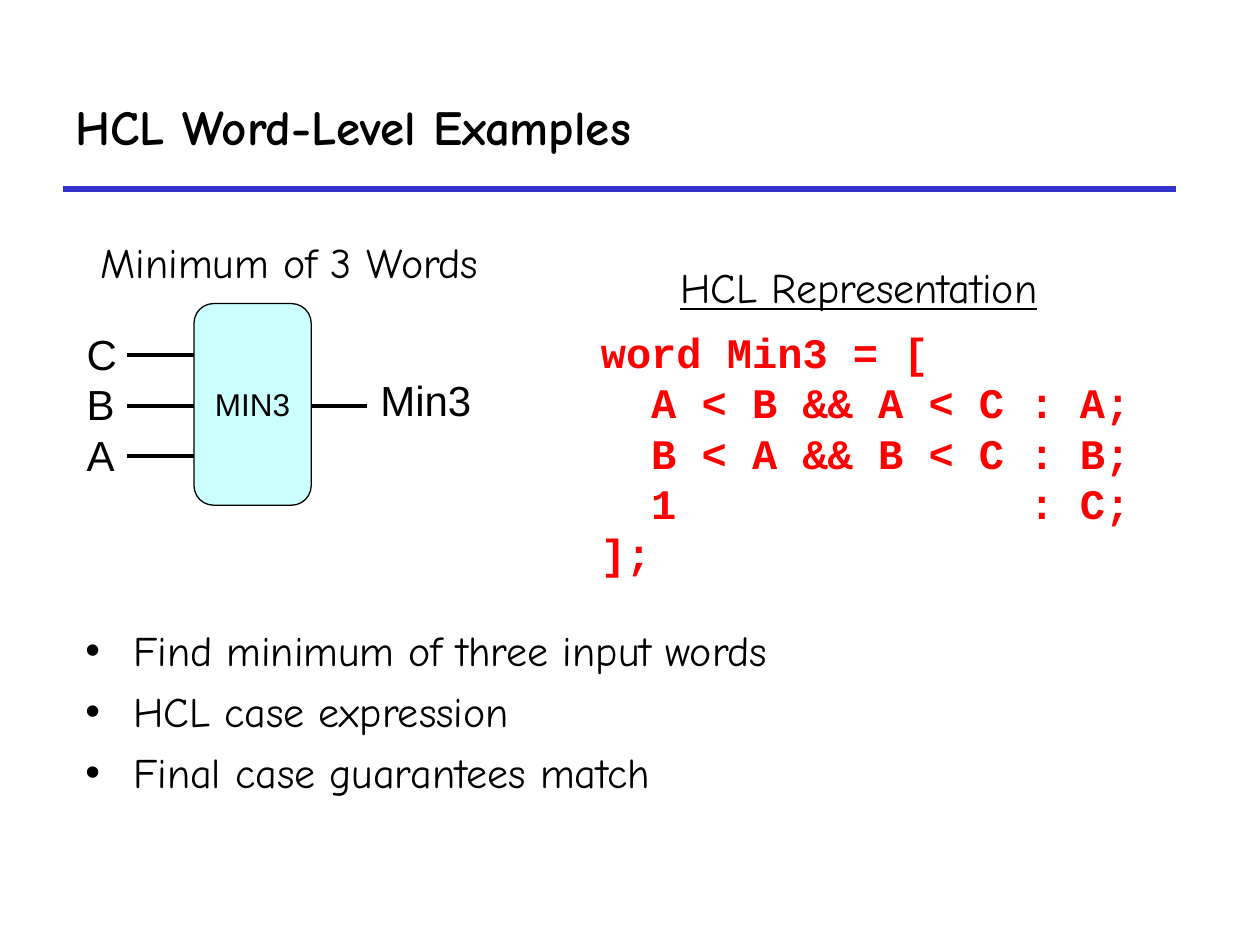
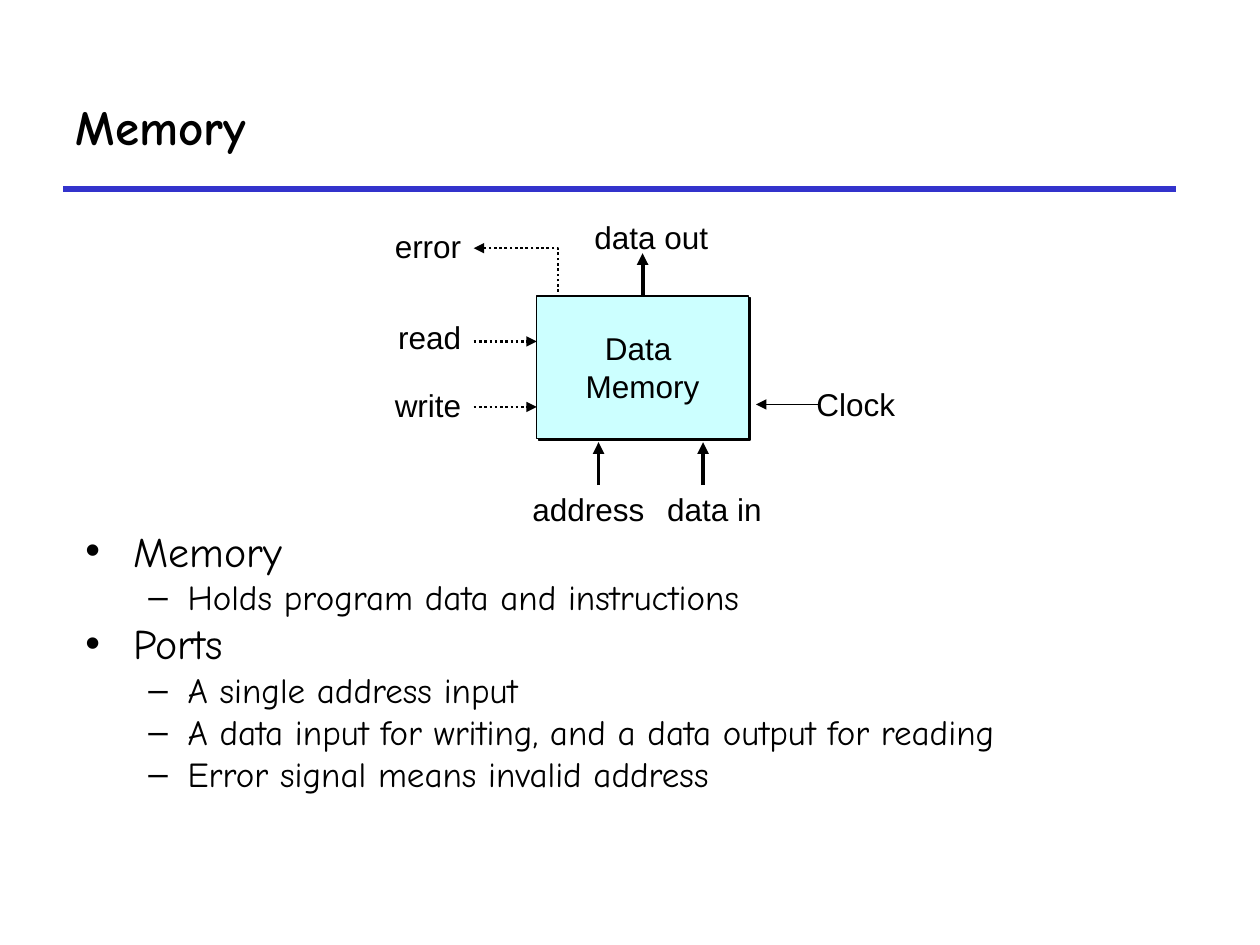
from lxml.etree import SubElement as Sub
from pptx import Presentation
from pptx.dml.color import RGBColor as RGB
from pptx.enum.dml import MSO_LINE as Dash
from pptx.enum.shapes import MSO_CONNECTOR as Conn, MSO_SHAPE as Shape
from pptx.enum.text import MSO_ANCHOR as Anchor, MSO_AUTO_SIZE as Auto, PP_ALIGN as Align
from pptx.oxml.ns import qn
from pptx.util import Inches, Pt

COLORS = {"ink": "000000", "rule": "3333CC", "block": "CCFFFF", "code": "FF0000"}
COMIC, ARIAL, MONO = "Comic Neue", "Arial", "Courier New"
LEVELS = [("•", 0.38, -0.38, 24), ("–", 0.81, -0.31, 20)]


def tint(name):
    """Return a named colour."""
    return RGB.from_string(COLORS[name])


def style(para, size, face, color="ink", bold=False, under=False, align=Align.LEFT):
    """Format one paragraph."""
    para.alignment = align
    para.line_spacing = Pt(1.2 * size)
    font = para.font
    font.size, font.name, font.bold, font.underline = Pt(size), face, bold, under
    font.color.rgb = tint(color)


def setup(frame, inset=0.1, wrap=False, anchor=Anchor.MIDDLE):
    """Set the margins, wrapping and anchor of a text frame."""
    frame.auto_size = Auto.NONE
    frame.word_wrap, frame.vertical_anchor = wrap, anchor
    frame.margin_left = frame.margin_right = Inches(inset)
    frame.margin_top = frame.margin_bottom = Inches(0.05)


def label(slide, box, text, size=18, face=ARIAL, inset=0.1, **look):
    """Add a one-line label."""
    frame = slide.shapes.add_textbox(*map(Inches, box)).text_frame
    setup(frame, inset)
    frame.text = text
    style(frame.paragraphs[0], size, face, **look)


def block(slide, kind, box, text):
    """Add a filled block with a centred name."""
    shape = slide.shapes.add_shape(kind, *map(Inches, box))
    shape.shadow.inherit = False
    shape.fill.solid()
    shape.fill.fore_color.rgb = tint("block")
    shape.line.color.rgb = tint("ink")
    shape.line.width = Pt(0.75)
    setup(shape.text_frame)
    shape.text_frame.text = text
    style(shape.text_frame.paragraphs[0], 18, ARIAL, align=Align.CENTER)
    return shape


def wire(slide, start, end, width=2.25, color="ink", dots=False, arrow=False, kind=Conn.STRAIGHT):
    """Draw a line between two points."""
    link = slide.shapes.add_connector(kind, *map(Inches, (*start, *end)))
    link.line.color.rgb = tint(color)
    link.line.width = Pt(width)
    if dots:
        link.line.dash_style = Dash.ROUND_DOT
    props = link._element.spPr
    if arrow:
        Sub(props.find(qn("a:ln")), qn("a:tailEnd"), type="triangle")
    Sub(props, qn("a:effectLst"))
    return link


def page(deck, title):
    """Add a slide with its title and rule."""
    slide = deck.slides.add_slide(deck.slide_layouts[5])
    head = slide.shapes.title
    head.left, head.top, head.width, head.height = map(Inches, (0.5, 0.5, 8.83, 1))
    setup(head.text_frame, wrap=True)
    head.text_frame.text = title
    style(head.text_frame.paragraphs[0], 28, COMIC, bold=True)
    wire(slide, (0.5, 1.5), (9.33, 1.5), 3, "rule")
    return slide


def points(slide, box, items, gap=0):
    """Add a bullet list of level and text pairs."""
    frame = slide.shapes.add_textbox(*map(Inches, box)).text_frame
    setup(frame, wrap=True, anchor=Anchor.TOP)
    for i, (level, text) in enumerate(items):
        para = frame.add_paragraph() if i else frame.paragraphs[0]
        mark, left, hang, size = LEVELS[level]
        para.text, para.level = text, level
        para.space_before = Pt(gap if i else 0)
        props = para._p.get_or_add_pPr()
        props.set("marL", str(Inches(left)))
        props.set("indent", str(Inches(hang)))
        Sub(props, qn("a:buFont"), typeface=ARIAL)
        Sub(props, qn("a:buChar"), char=mark)
        style(para, size, COMIC)


def code(slide, box, lines):
    """Add a code listing."""
    frame = slide.shapes.add_textbox(*map(Inches, box)).text_frame
    setup(frame, wrap=True, anchor=Anchor.TOP)
    frame.text = "\n".join(lines)
    for para in frame.paragraphs:
        style(para, 24, MONO, "code", bold=True)


def gate(slide, x, y):
    """Draw the three-input minimum gate."""
    for i, name in enumerate("CBA"):
        mid = y + 0.41 + 0.4 * i
        wire(slide, (x + 0.42, mid), (x + 0.95, mid))
        label(slide, (x, mid - 0.27, 0.44, 0.51), name, 24)
    wire(slide, (x + 1.79, y + 0.81), (x + 2.32, y + 0.81))
    label(slide, (x + 2.33, y + 0.51, 0.93, 0.51), "Min3", 24)
    block(slide, Shape.ROUNDED_RECTANGLE, (x + 0.95, y, 0.93, 1.6), "MIN3")


def memory(slide, x, y):
    """Draw the data memory block with its ports."""
    core = block(slide, Shape.RECTANGLE, (x, y, 1.68, 1.13), "Data \vMemory")
    cast = Sub(core._element.spPr.find(qn("a:effectLst")), qn("a:outerShdw"),
               dist=str(Pt(1.4)), dir="2700000", algn="ctr", rotWithShape="0")
    Sub(cast, qn("a:srgbClr"), val=COLORS["ink"])
    for name, dy in (("error", -0.4), ("read", 0.32), ("write", 0.86)):
        label(slide, (x - 1.5, y + dy - 0.21, 1, 0.42), name, align=Align.RIGHT)
    for dy in (0.36, 0.88):
        wire(slide, (x - 0.5, y + dy), (x, y + dy), 1.5, dots=True, arrow=True)
    bend = wire(slide, (x + 0.16, y), (x - 0.5, y - 0.38), 1.5,
                dots=True, arrow=True, kind=Conn.ELBOW)
    shape = bend._element.spPr.find(qn("a:prstGeom"))
    Sub(shape.find(qn("a:avLst")), qn("a:gd"), name="adj1", fmla="val -1400")
    for name, mid, dx, start, top in (("address", 0.41, 0.49, 1.5, 1.48),
                                      ("data in", 1.41, 1.32, 1.5, 1.48),
                                      ("data out", 0.91, 0.84, 0, -0.68)):
        wire(slide, (x + dx, y + start), (x + dx, y + start - 0.34), arrow=True)
        label(slide, (x + mid - 0.5, y + top, 1, 0.42), name, align=Align.CENTER)
    wire(slide, (x + 2.24, y + 0.86), (x + 1.74, y + 0.86), 1, arrow=True)
    label(slide, (x + 2.17, y + 0.65, 0.73, 0.41), "Clock", inset=0.05)


def words(deck):
    """Build the word-level examples slide."""
    slide = page(deck, "HCL Word-Level Examples")
    points(slide, (0.58, 4.91, 8.58, 1.84), [
        (0, "Find minimum of three input words"),
        (0, "HCL case expression"),
        (0, "Final case guarantees match")], 6)
    gate(slide, 0.59, 2.41)
    code(slide, (4.67, 2.54, 4.92, 2.11), [
        "word Min3 = [",
        "  A < B && A < C : A;",
        "  B < A && B < C : B;",
        "  1              : C;",
        "];"])
    label(slide, (0.75, 1.82, 3.13, 0.51), "Minimum of 3 Words", 24, COMIC, 0.05)
    label(slide, (5.35, 2.02, 2.96, 0.51), "HCL Representation", 24, COMIC, 0.05, under=True)


def store(deck):
    """Build the memory slide."""
    slide = page(deck, "Memory")
    points(slide, (0.58, 4.12, 9.08, 3.04), [
        (0, "Memory"),
        (1, "Holds program data and instructions"),
        (0, "Ports"),
        (1, "A single address input"),
        (1, "A data input for writing, and a data output for reading"),
        (1, "Error signal means invalid address")])
    memory(slide, 4.26, 2.35)


def main():
    """Build and save the deck."""
    deck = Presentation()
    deck.slide_width, deck.slide_height = Inches(10), Inches(7.5)
    words(deck)
    store(deck)
    deck.save("out.pptx")


if __name__ == "__main__":
    main()
